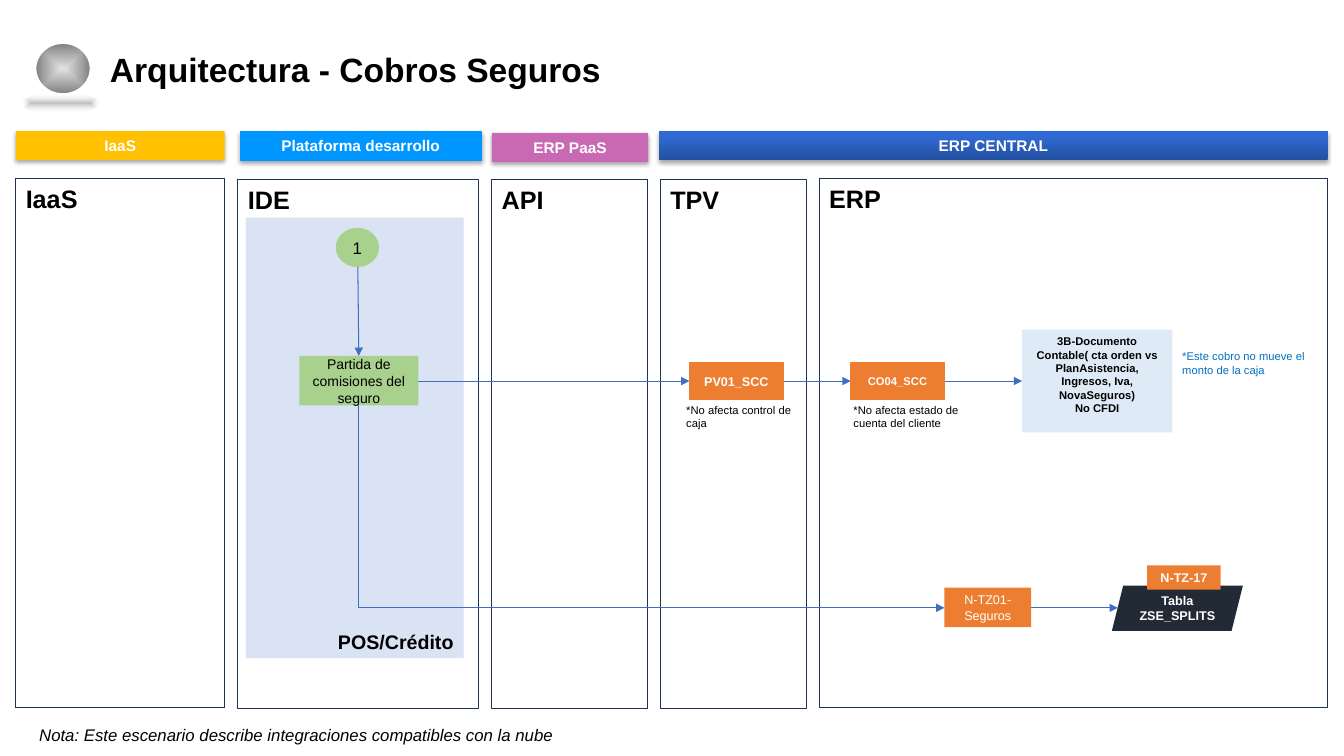
from lxml.etree import SubElement
from pptx import Presentation
from pptx.dml.color import RGBColor
from pptx.enum.shapes import MSO_CONNECTOR as CONN, MSO_SHAPE as SHAPE
from pptx.enum.text import MSO_ANCHOR as ANCHOR, MSO_AUTO_SIZE as AUTO, PP_ALIGN as ALIGN
from pptx.oxml.ns import qn
from pptx.util import Pt

COLORS = {
    "black": "000000", "white": "FFFFFF", "frame": "1E3256", "arrow": "3F6FC3",
    "orange": "ED7D31", "green": "A9D18E", "lavender": "DAE3F3", "pale": "DEEBF7",
    "dark": "222A35", "note": "0070C0", "amber": "FFC000", "sky": "0096FF",
    "pink": "CA69B3", "light_gray": "E0E0E0", "gray": "808080",
    "blue_low": "2451A1", "blue_mid": "2F69D1", "blue_top": "2C69D5",
}


def rgb(name):
    return RGBColor.from_string(COLORS[name])


class Diagram:
    font = "Arial"
    line_width = 0.75

    def __init__(self, slide):
        self.slide = slide

    def set_text(self, sp, text, size, color="black", bold=False, italic=False,
                 align=ALIGN.LEFT, anchor=ANCHOR.TOP):
        tf = sp.text_frame
        tf.text = text
        tf.word_wrap = True
        tf.auto_size = AUTO.NONE
        tf.vertical_anchor = anchor
        for p in tf.paragraphs:
            p.alignment = align
            for r in p.runs:
                f = r.font
                f.name, f.size, f.bold, f.italic = self.font, Pt(size), bold, italic
                f.color.rgb = rgb(color)

    def title(self, text, box):
        sp = self.slide.shapes.title
        sp.left, sp.top, sp.width, sp.height = map(Pt, box)
        self.set_text(sp, text, 24, bold=True)
        sp.text_frame.paragraphs[0].line_spacing = 0.9

    def shape(self, box, fill=None, line=None, kind=SHAPE.RECTANGLE, width=line_width):
        sp = self.slide.shapes.add_shape(kind, *map(Pt, box))
        sp.shadow.inherit = False
        if fill:
            sp.fill.solid()
            sp.fill.fore_color.rgb = rgb(fill)
        else:
            sp.fill.background()
        if line:
            sp.line.color.rgb = rgb(line)
            sp.line.width = Pt(width)
        else:
            sp.line.fill.background()
        return sp

    def gradient(self, sp, stops, angle=None):
        """Fill with (position, colour, opacity) stops; no angle means from the centre."""
        spPr = sp._element.spPr
        grad = SubElement(spPr, qn("a:gradFill"), rotWithShape="1")
        gs_list = SubElement(grad, qn("a:gsLst"))
        for pos, color, opacity in stops:
            gs = SubElement(gs_list, qn("a:gs"), pos=str(pos * 1000))
            clr = SubElement(gs, qn("a:srgbClr"), val=COLORS[color])
            SubElement(clr, qn("a:alpha"), val=str(opacity * 1000))
        if angle is None:
            way = SubElement(grad, qn("a:path"), {"path": "rect"})
            SubElement(way, qn("a:fillToRect"), dict.fromkeys("ltrb", "50000"))
        else:
            SubElement(grad, qn("a:lin"), ang=str(angle * 60000), scaled="0")
        spPr.replace(spPr.find(qn("a:noFill")), grad)

    def box(self, text, box, size, fill, color="white", bold=False, line=None,
            kind=SHAPE.RECTANGLE, align=ALIGN.CENTER, anchor=ANCHOR.MIDDLE):
        sp = self.shape(box, fill, line, kind)
        self.set_text(sp, text, size, color, bold, align=align, anchor=anchor)

    def panel(self, text, box):
        sp = self.shape(box, line="frame")
        self.set_text(sp, text, 18, bold=True)

    def header(self, text, box, fill=None, line=None):
        sp = self.shape(box, fill, line)
        effects = sp._element.spPr.find(qn("a:effectLst"))
        shadow = SubElement(effects, qn("a:outerShdw"), blurRad=str(Pt(3.1)),
                            dist=str(Pt(1.8)), dir="5400000", rotWithShape="0")
        clr = SubElement(shadow, qn("a:srgbClr"), val=COLORS["black"])
        SubElement(clr, qn("a:alpha"), val="35000")
        self.set_text(sp, text, 11, "white", bold=True, align=ALIGN.CENTER)
        return sp

    def label(self, text, box, size=8, color="black", italic=False):
        sp = self.slide.shapes.add_textbox(*map(Pt, box))
        self.set_text(sp, text, size, color, italic=italic)

    def arrow(self, x1, y1, x2, y2, kind=CONN.STRAIGHT):
        cn = self.slide.shapes.add_connector(kind, Pt(x1), Pt(y1), Pt(x2), Pt(y2))
        cn.line.color.rgb = rgb("arrow")
        cn.line.width = Pt(self.line_width)
        spPr = cn._element.spPr
        SubElement(spPr.find(qn("a:ln")), qn("a:tailEnd"), type="triangle")
        SubElement(spPr, qn("a:effectLst"))
        return cn

    def corner_arrow(self, x1, y1, x2, y2):
        """Go down, then right: a one-bend connector turned a quarter and flipped."""
        cx, cy, w, h = (x1 + x2) / 2, (y1 + y2) / 2, y2 - y1, x2 - x1
        cn = self.arrow(cx + w / 2, cy - h / 2, cx - w / 2, cy + h / 2, CONN.ELBOW)
        spPr = cn._element.spPr
        spPr.find(qn("a:xfrm")).set("rot", "16200000")
        spPr.find(qn("a:prstGeom")).set("prst", "bentConnector2")


def main():
    prs = Presentation()
    prs.slide_width, prs.slide_height = Pt(960), Pt(540)
    d = Diagram(prs.slides.add_slide(prs.slide_layouts[5]))

    # Title and ball
    d.title("Arquitectura - Cobros Seguros", (71.3, 34.6, 693.4, 33.1))
    ball = d.shape((25.2, 30.6, 39.6, 36.7), line="white", kind=SHAPE.OVAL, width=1.5)
    d.gradient(ball, [(0, "light_gray", 100), (100, "gray", 100)])
    glow = d.shape((15.8, 67, 55.4, 13.7), kind=SHAPE.OVAL)
    d.gradient(glow, [(0, "gray", 50), (100, "white", 0)])

    # Column panels
    d.box("POS/Crédito", (175.7, 155.5, 155.5, 314.6), 14, "lavender", "black", True,
          align=ALIGN.RIGHT, anchor=ANCHOR.BOTTOM)
    for name, x, y, w in [("IaaS", 11.3, 127.6, 149.2), ("IDE", 170, 128.3, 172),
                          ("API", 351.2, 128.3, 111.6), ("TPV", 471.7, 128.3, 104.5),
                          ("ERP", 585.2, 127.6, 363)]:
        d.panel(name, (x, y, w, 378))

    # Column headers
    for name, x, y, w, fill, line in [
            ("IaaS", 11.3, 93.6, 149.2, "amber", None),
            ("Plataforma desarrollo", 171.6, 94, 172.2, "sky", "sky"),
            ("ERP PaaS", 351.4, 95, 111.6, "pink", None)]:
        d.header(name, (x, y, w, 20.6), fill, line)
    erp = d.header("ERP CENTRAL", (470.9, 93.6, 477.4, 20.6))
    d.gradient(erp, [(0, "blue_low", 100), (80, "blue_mid", 100),
                     (100, "blue_top", 100)], angle=270)

    # Arrows
    flow_y, table_y = 272.2, 434.2
    d.arrow(255.6, 190.8, 256.3, 254.2)
    for x1, x2 in [(298.8, 492.5), (559.4, 607.7), (674.6, 730.1)]:
        d.arrow(x1, flow_y, x2, flow_y)
    d.corner_arrow(256.3, 289.4, 674.6, table_y)
    d.arrow(736.6, table_y, 798.5, table_y, CONN.ELBOW)

    # Process steps
    d.box("1", (239.8, 162.7, 31, 28.1), 12, "green", "black", kind=SHAPE.OVAL)
    d.box("Partida de comisiones del seguro", (213.8, 254.2, 85, 35.3), 10, "green", "black")
    for code, x, size in [("PV01_SCC", 492.5, 9), ("CO04_SCC", 607.7, 8)]:
        d.box(code, (x, 259.2, 67, 25.9), size, "orange", bold=True, line="orange")
    d.box("3B-Documento Contable( cta orden vs PlanAsistencia, Ingresos, Iva, NovaSeguros)\n"
          "No CFDI", (730.1, 235.4, 107.3, 73.4), 8, "pale", "black", True,
          anchor=ANCHOR.TOP)
    d.box("N-TZ01-Seguros", (674.6, 419.8, 61.9, 28.1), 9, "orange")
    d.box("Tabla ZSE_SPLITS", (794.2, 418.3, 93.6, 32.4), 9, "dark", bold=True,
          kind=SHAPE.PARALLELOGRAM)
    d.box("N-TZ-17", (819.4, 403.9, 52.6, 17.3), 9, "orange", bold=True)

    # Notes
    for text, x, y, color in [
            ("*Este cobro no mueve el monto de la caja", 837.4, 246.2, "note"),
            ("*No afecta control de caja", 483.1, 284.4, "black"),
            ("*No afecta estado de cuenta del cliente", 602.6, 284.4, "black")]:
        d.label(text, (x, y, 103, 26.6), color=color)
    d.label("Nota: Este escenario describe integraciones compatibles con la nube",
            (20.9, 514.1, 401.8, 21.6), 12, italic=True)

    prs.save("out.pptx")


if __name__ == "__main__":
    main()
